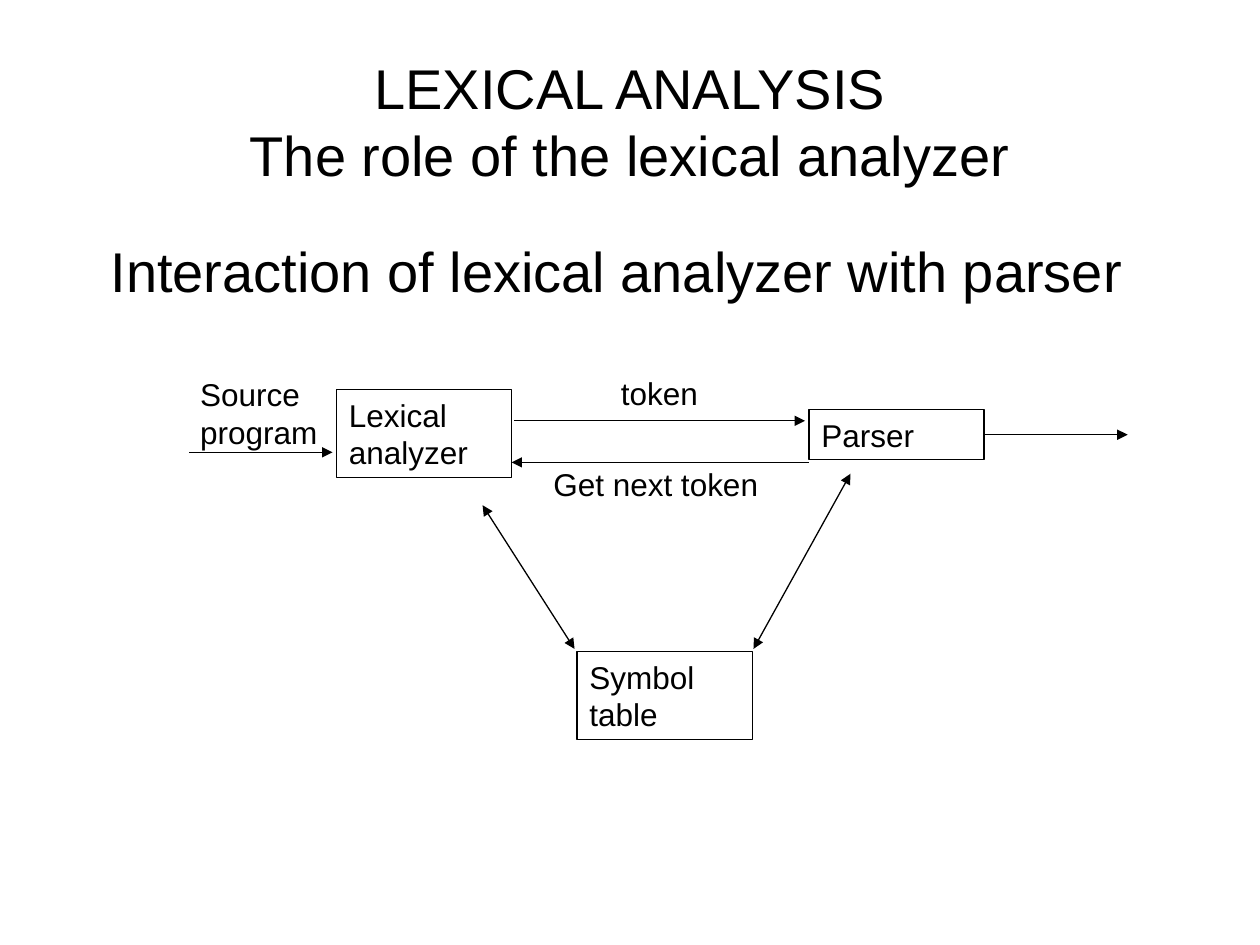
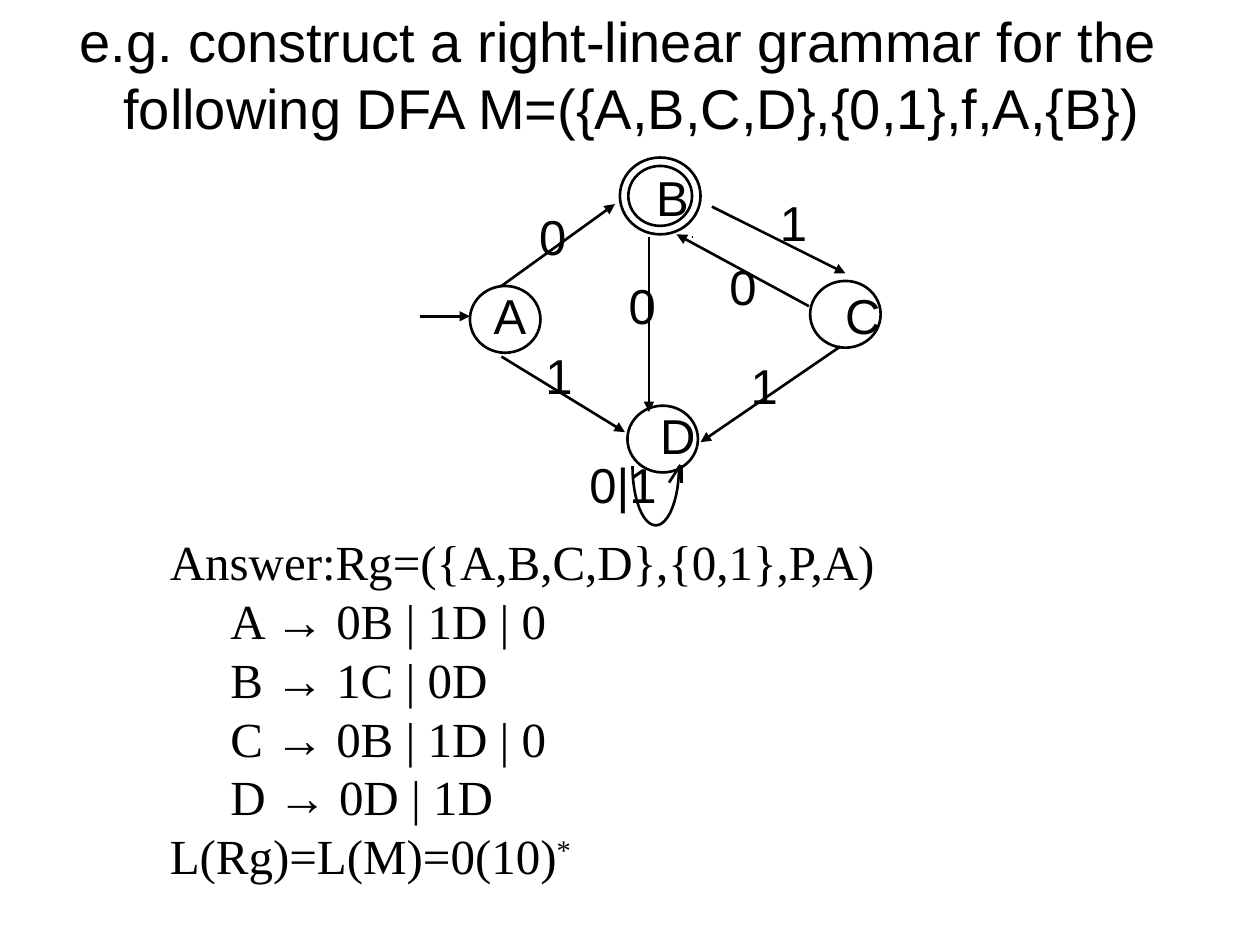
from math import cos, pi, sin
from typing import NamedTuple

from lxml.etree import SubElement
from pptx import Presentation
from pptx.dml.color import RGBColor
from pptx.enum.shapes import MSO_CONNECTOR, MSO_SHAPE
from pptx.enum.text import MSO_ANCHOR, MSO_AUTO_SIZE, PP_ALIGN
from pptx.oxml.ns import qn
from pptx.util import Inches, Pt

BLACK = RGBColor(0, 0, 0)
SANS = "Arial"
SERIF = "Times New Roman"
TITLE_ONLY = 5
HANGING = (0.38, -0.35)
HEADING_SIZE, BLOCK_SIZE, STATE_SIZE = 32, 18, 28
THIN, THICK = 0.75, 1.5
PARAGRAPH_FORMAT = {"line_spacing": 1.0, "space_before": Pt(0), "space_after": Pt(0)}


class Area(NamedTuple):
    left: float
    top: float
    width: float
    height: float

    def lengths(self) -> list:
        return [Inches(value) for value in self]


class Label(NamedTuple):
    text: str
    area: Area
    align: PP_ALIGN = PP_ALIGN.LEFT
    wrap: bool = False


class Arrow(NamedTuple):
    start: tuple
    end: tuple
    ends: tuple = ("tailEnd",)


class Block(NamedTuple):
    text: str
    area: Area


class State(NamedTuple):
    area: Area
    preset: MSO_SHAPE = MSO_SHAPE.OVAL


BLOCKS = [
    Block("Lexical analyzer", Area(2.67, 3.09, 1.39, 0.7)),
    Block("Parser", Area(6.42, 3.25, 1.39, 0.4)),
    Block("Symbol table", Area(4.58, 5.17, 1.39, 0.7)),
]
BOTH_ENDS = ("headEnd", "tailEnd")
FLOWS = [
    Arrow((4.08, 3.34), (6.39, 3.34)),
    Arrow((6.42, 3.67), (4.06, 3.67)),
    Arrow((1.5, 3.59), (2.64, 3.59)),
    Arrow((3.83, 4.01), (4.56, 5.15), BOTH_ENDS),
    Arrow((6.75, 3.76), (5.98, 5.15), BOTH_ENDS),
]
PARSER_OUTPUT = Arrow((7.81, 3.45), (8.95, 3.45))
FLOW_LABELS = [
    Label("Source program", Area(1.49, 2.93, 1.48, 0.7), wrap=True),
    Label("token", Area(4.83, 2.92, 0.81, 0.4)),
    Label("Get next token", Area(4.29, 3.64, 1.83, 0.4), PP_ALIGN.CENTER),
]

STATES = [
    State(Area(6.43, 2.23, 0.56, 0.53)),
    State(Area(4.98, 3.22, 0.56, 0.53)),
    State(Area(3.73, 2.27, 0.56, 0.53)),
    State(Area(4.92, 1.25, 0.64, 0.61), MSO_SHAPE.DONUT),
]
RING_THICKNESS = 0.11
TRANSITIONS = [
    Arrow((3.33, 2.51), (3.73, 2.51)),
    Arrow((3.98, 2.27), (4.88, 1.62)),
    Arrow((3.98, 2.83), (4.96, 3.43)),
    Arrow((5.15, 1.88), (5.15, 3.27)),
    Arrow((6.42, 2.43), (5.37, 1.86)),
    Arrow((5.65, 1.64), (6.71, 2.17)),
    Arrow((6.67, 2.75), (5.56, 3.51)),
    Arrow((5.41, 3.69), (5.41, 3.83), ()),
    Arrow((5.4, 3.69), (5.31, 3.83), ()),
    Arrow((5.49, 1.88), (5.5, 1.88), ()),
]
LOOP = Area(5.02, 3.7, 0.37, 0.47)
LOOP_STEPS = 24
SYMBOLS = [
    ("A", 3.82, 2.22, 0.45),
    ("B", 5.11, 1.28, 0.45),
    ("C", 6.61, 2.22, 0.48),
    ("D", 5.14, 3.17, 0.48),
    ("0", 4.18, 1.59, 0.41),
    ("1", 6.09, 1.48, 0.41),
    ("1", 4.23, 2.69, 0.41),
    ("0", 4.89, 2.14, 0.41),
    ("1", 5.86, 2.77, 0.41),
    ("0", 5.69, 1.99, 0.41),
    ("0|1", 4.58, 3.56, 0.73),
]
RULES = [("A", "0B | 1D | 0"), ("B", "1C | 0D"), ("C", "0B | 1D | 0"), ("D", "0D | 1D")]
ANSWER_INDENT, RULE_INDENT = 0.5, 0.98


def apply(target, values: dict) -> None:
    for name, value in values.items():
        setattr(target, name, value)


def format_paragraph(paragraph, align=PP_ALIGN.LEFT, indent: tuple = (0, 0)) -> None:
    apply(paragraph, PARAGRAPH_FORMAT | {"alignment": align})
    margin, first_line = indent
    properties = paragraph._p.get_or_add_pPr()
    properties.set("marL", str(Inches(margin)))
    properties.set("indent", str(Inches(first_line)))


def format_font(font, size: float, face: str = SANS) -> None:
    apply(font, {"name": face, "size": Pt(size)})
    font.color.rgb = BLACK


def write(shape, text: str, size: float, align=PP_ALIGN.LEFT, indent: tuple = (0, 0),
          anchor=MSO_ANCHOR.TOP, wrap: bool = True) -> None:
    frame = shape.text_frame
    apply(frame, {"text": text, "word_wrap": wrap, "vertical_anchor": anchor,
                  "auto_size": MSO_AUTO_SIZE.NONE})
    paragraph = frame.paragraphs[0]
    format_paragraph(paragraph, align, indent)
    for run in paragraph.runs:
        format_font(run.font, size)


def add_titled_slide(deck, text: str, area: Area, **style):
    slide = deck.slides.add_slide(deck.slide_layouts[TITLE_ONLY])
    title = slide.shapes.title
    apply(title, dict(zip(("left", "top", "width", "height"), area.lengths())))
    write(title, text, HEADING_SIZE, **style)
    return slide


def outline(shape, weight: float) -> None:
    shape.shadow.inherit = False
    shape.fill.background()
    shape.line.color.rgb = BLACK
    shape.line.width = Pt(weight)


def add_outlined(slide, preset: MSO_SHAPE, area: Area, weight: float):
    shape = slide.shapes.add_shape(preset, *area.lengths())
    outline(shape, weight)
    return shape


def add_label(slide, label: Label, size: float) -> None:
    box = slide.shapes.add_textbox(*label.area.lengths())
    write(box, label.text, size, label.align, wrap=label.wrap)


def add_arrow(slide, arrow: Arrow, weight: float):
    points = [Inches(value) for value in arrow.start + arrow.end]
    connector = slide.shapes.add_connector(MSO_CONNECTOR.STRAIGHT, *points)
    connector.line.color.rgb = BLACK
    connector.line.width = Pt(weight)
    properties = connector.element.spPr
    for end in arrow.ends:
        SubElement(properties.find(qn("a:ln")), qn(f"a:{end}"), type="triangle")
    SubElement(properties, qn("a:effectLst"))
    return connector


def add_self_loop(slide) -> None:
    radius = LOOP.width / 2
    angles = [step * pi / LOOP_STEPS for step in range(LOOP_STEPS + 1)]
    curve = [
        (Inches(LOOP.left + radius * (1 - cos(angle))),
         Inches(LOOP.top + LOOP.height * sin(angle)))
        for angle in angles
    ]
    builder = slide.shapes.build_freeform(*curve[0])
    builder.add_line_segments(curve[1:], close=False)
    outline(builder.convert_to_shape(), THICK)


def add_answer(slide) -> None:
    box = slide.shapes.add_textbox(*Area(0.75, 4.17, 8.33, 2.9).lengths())
    frame = box.text_frame
    frame.word_wrap = True
    lines = [(ANSWER_INDENT, [("Answer:Rg=({A,B,C,D},{0,1},P,A)", SERIF)])]
    lines += [
        (RULE_INDENT, [(f"{head} ", SERIF), ("→", SANS), (f" {body}", SERIF)])
        for head, body in RULES
    ]
    lines.append((ANSWER_INDENT, [("L(Rg)=L(M)=0(10)", SERIF), ("*", SERIF)]))
    for number, (margin, pieces) in enumerate(lines):
        paragraph = frame.add_paragraph() if number else frame.paragraphs[0]
        format_paragraph(paragraph, indent=(margin, 0))
        for text, face in pieces:
            run = paragraph.add_run()
            run.text = text
            format_font(run.font, STATE_SIZE, face)
    run.font._element.set("baseline", "30000")


def build_interaction(deck) -> None:
    slide = add_titled_slide(
        deck, "LEXICAL ANALYSIS\vThe role of the lexical analyzer",
        Area(0.75, 0.17, 8.5, 1.58), align=PP_ALIGN.CENTER, anchor=MSO_ANCHOR.MIDDLE)
    subtitle = slide.shapes.add_textbox(*Area(0.75, 1.83, 8.5, 0.92).lengths())
    write(subtitle, "Interaction of lexical analyzer with parser", HEADING_SIZE, indent=HANGING)
    drawn = {}
    for block in BLOCKS:
        drawn[block.text] = add_outlined(slide, MSO_SHAPE.RECTANGLE, block.area, THIN)
        write(drawn[block.text], block.text, BLOCK_SIZE)
    for flow in FLOWS:
        add_arrow(slide, flow, THIN)
    add_arrow(slide, PARSER_OUTPUT, THIN).begin_connect(drawn["Parser"], 3)
    for label in FLOW_LABELS:
        add_label(slide, label, BLOCK_SIZE)


def build_automaton(deck) -> None:
    slide = add_titled_slide(
        deck,
        "e.g. construct a right-linear grammar for the following DFA M=({A,B,C,D},{0,1},f,A,{B})",
        Area(0.5, 0, 9, 1.25), indent=HANGING)
    for state in STATES:
        circle = add_outlined(slide, state.preset, state.area, THICK)
        if state.preset == MSO_SHAPE.DONUT:
            circle.adjustments[0] = RING_THICKNESS
    for transition in TRANSITIONS:
        add_arrow(slide, transition, THICK)
    add_self_loop(slide)
    for text, left, top, width in SYMBOLS:
        add_label(slide, Label(text, Area(left, top, width, 0.57)), STATE_SIZE)
    add_answer(slide)


def main() -> None:
    deck = Presentation()
    deck.slide_width, deck.slide_height = Inches(10), Inches(7.5)
    build_interaction(deck)
    build_automaton(deck)
    deck.save("out.pptx")


if __name__ == "__main__":
    main()
